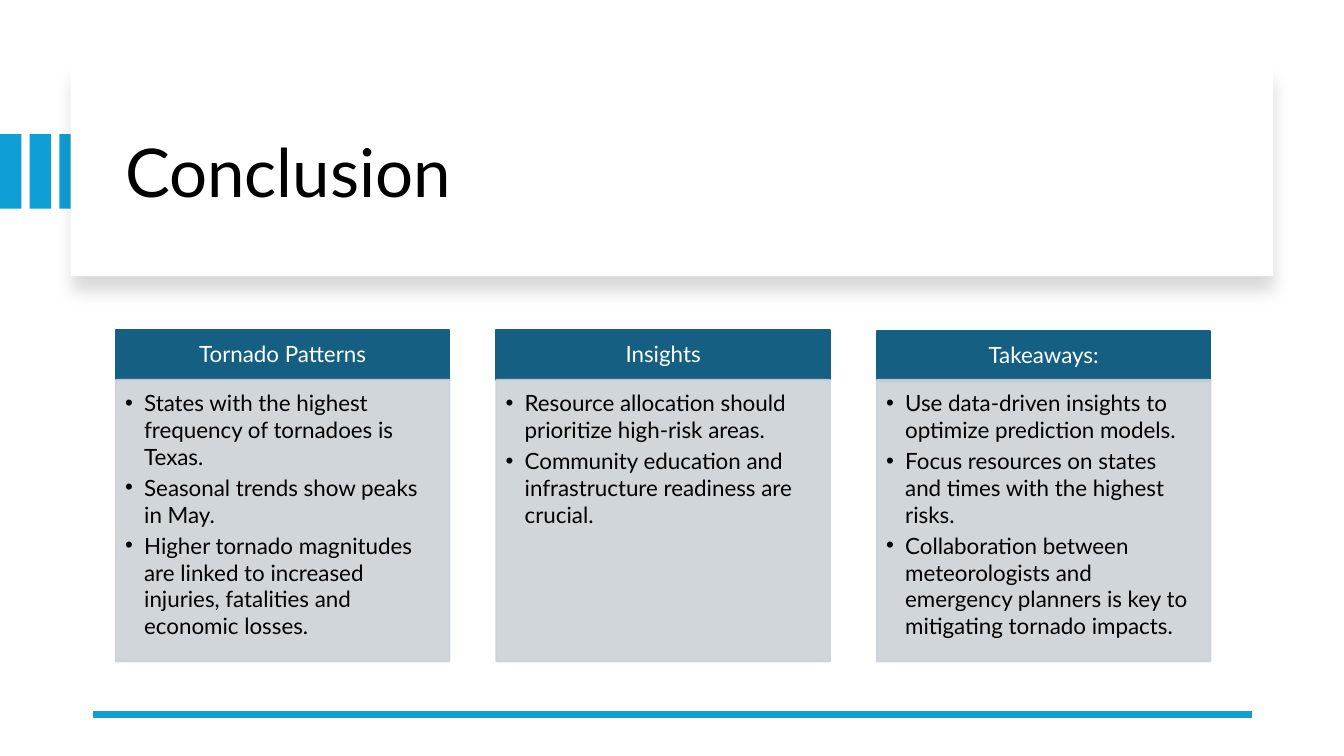
"""Build the conclusion slide with three headed lists."""
from lxml import etree
from pptx import Presentation
from pptx.dml.color import RGBColor
from pptx.enum.shapes import MSO_CONNECTOR, MSO_SHAPE
from pptx.enum.text import MSO_ANCHOR, MSO_AUTO_SIZE, PP_ALIGN
from pptx.oxml import parse_xml
from pptx.oxml.ns import nsdecls, qn
from pptx.util import Inches, Pt

RECT, STRAIGHT = MSO_SHAPE.RECTANGLE, MSO_CONNECTOR.STRAIGHT
TOP, MIDDLE = MSO_ANCHOR.TOP, MSO_ANCHOR.MIDDLE
LEFT, CENTER = PP_ALIGN.LEFT, PP_ALIGN.CENTER
FIXED = MSO_AUTO_SIZE.NONE

BLACK = RGBColor(0x00, 0x00, 0x00)
WHITE = RGBColor(0xFF, 0xFF, 0xFF)
SKY = RGBColor(0x0F, 0x9E, 0xD5)
TEAL = RGBColor(0x15, 0x60, 0x82)
GREY = RGBColor(0xCC, 0xD2, 0xD8)

COLS, ROWS = 160, 90
FIRST_COL, COL_STEP, COL_WIDTH = 13.8, 45.3, 39.7
HEAD_HEIGHT, LIST_TOP, LIST_HEIGHT = 6, 45.24, 33.48

TITLE_FRAME = dict(vertical_anchor=MIDDLE, auto_size=FIXED, word_wrap=True)
HEAD_FRAME = dict(vertical_anchor=MIDDLE, word_wrap=True,
                  margin_left=Inches(0.12), margin_right=Inches(0.12),
                  margin_top=Inches(0.07), margin_bottom=Inches(0.07))
LIST_FRAME = dict(vertical_anchor=TOP, word_wrap=True,
                  margin_left=Inches(0.09), margin_right=Inches(0.12),
                  margin_top=Inches(0.09), margin_bottom=Inches(0.14))
TITLE_PARA = dict(alignment=LEFT, line_spacing=0.9)
HEAD_PARA = dict(alignment=CENTER, line_spacing=0.9)
LIST_PARA = dict(alignment=LEFT, space_after=Pt(3))

COLUMNS = [
    ("Tornado Patterns", 39.24, [
        "States with the highest frequency of tornadoes is Texas.",
        "Seasonal trends show peaks in May.",
        "Higher tornado magnitudes are linked to increased injuries, "
        "fatalities and economic losses."]),
    ("Insights", 39.24, [
        "Resource allocation should prioritize high-risk areas.",
        "Community education and infrastructure readiness are crucial."]),
    ("Takeaways:", 39.4, [
        "Use data-driven insights to optimize prediction models.",
        "Focus resources on states and times with the highest risks.",
        "Collaboration between meteorologists and emergency planners is key "
        "to mitigating tornado impacts."]),
]


def apply(target, values):
    """Set each attribute of the target from a dict."""
    for name, value in values.items():
        setattr(target, name, value)


class Deck:
    """Hold the style and the current slide."""

    font = "Lato"

    def __init__(self, prs):
        """Size the slide and add it with a title placeholder."""
        prs.slide_width, prs.slide_height = Inches(13.333), Inches(7.5)
        self.col = prs.slide_width / COLS
        self.row = prs.slide_height / ROWS
        self.s = prs.slides.add_slide(prs.slide_layouts[5])

    def place(self, x, y, w, h):
        """Turn grid columns and rows into slide lengths."""
        return (round(x * self.col), round(y * self.row),
                round(w * self.col), round(h * self.row))

    def text(self, sp, lines, size, color, frame, para, bullet=False):
        """Fill a shape with formatted paragraphs."""
        tf = sp.text_frame
        apply(tf, frame)
        tf.text = "\n".join(lines)
        for p in tf.paragraphs:
            apply(p, para)
            r = p.runs[0]
            apply(r.font, dict(name=self.font, size=Pt(size)))
            r.font.color.rgb = color
            if bullet:
                pPr = p._p.get_or_add_pPr()
                pPr.set("marL", str(Inches(0.19)))
                pPr.set("indent", str(-Inches(0.19)))
                etree.SubElement(pPr, qn("a:buFont")).set("typeface", "Arial")
                etree.SubElement(pPr, qn("a:buChar")).set("char", "•")

    def block(self, box, fill, line=None, alpha=None):
        """Draw a flat rectangle, outlined and translucent on request."""
        sp = self.s.shapes.add_shape(RECT, *self.place(*box))
        sp.shadow.inherit = False
        sp.fill.solid()
        sp.fill.fore_color.rgb = fill
        if line is None:
            sp.line.fill.background()
        else:
            sp.line.color.rgb = line
            sp.line.width = Pt(1.5)
        if alpha is not None:
            for color in sp.element.spPr.iter(qn("a:srgbClr")):
                etree.SubElement(color, qn("a:alpha")).set("val", str(alpha * 1000))
        return sp

    def title(self, text, box, panel):
        """Put the title placeholder in front of its panel."""
        sp = self.s.shapes.title
        apply(sp, dict(zip(("left", "top", "width", "height"), self.place(*box))))
        self.text(sp, [text], 48, BLACK, TITLE_FRAME, TITLE_PARA)
        panel.element.addnext(sp.element)

    def panel(self, box):
        """Draw a white panel with a soft shadow below it."""
        sp = self.block(box, WHITE)
        sp.element.spPr.find(qn("a:effectLst")).append(parse_xml(
            f'<a:outerShdw {nsdecls("a")} blurRad="{Pt(11)}" dist="{Pt(10)}" '
            'dir="5400000" algn="t" rotWithShape="0"><a:srgbClr val="000000">'
            '<a:alpha val="15000"/></a:srgbClr></a:outerShdw>'))
        return sp

    def column(self, index, head, top, items):
        """Draw one heading with its bulleted list."""
        x = FIRST_COL + index * COL_STEP
        sp = self.block((x, top, COL_WIDTH, HEAD_HEIGHT), TEAL, TEAL)
        self.text(sp, [head], 16, WHITE, HEAD_FRAME, HEAD_PARA)
        sp = self.block((x, LIST_TOP, COL_WIDTH, LIST_HEIGHT), GREY, GREY, 90)
        self.text(sp, items, 16, BLACK, LIST_FRAME, LIST_PARA, bullet=True)

    def rule(self, x1, x2, y):
        """Draw a thick horizontal line."""
        left, top, right, bottom = self.place(x1, y, x2, y)
        line = self.s.shapes.add_connector(STRAIGHT, left, top, right, bottom)
        line.line.color.rgb = SKY
        line.line.width = Pt(4.5)
        etree.SubElement(line.element.spPr, qn("a:effectLst"))


def main():
    """Build and save the slide."""
    prs = Presentation()
    deck = Deck(prs)
    for i in range(3):
        deck.block((i * 3.53, 15.96, 2.55, 8.88), SKY)
    panel = deck.panel((8.4, 8.04, 143.16, 24.84))
    deck.title("Conclusion", (13.68, 10.68, 130.44, 20.4), panel)
    for i, (head, top, items) in enumerate(COLUMNS):
        deck.column(i, head, top, items)
    deck.rule(149.04, 11.04, 85.08)
    prs.save("out.pptx")


if __name__ == "__main__":
    main()
